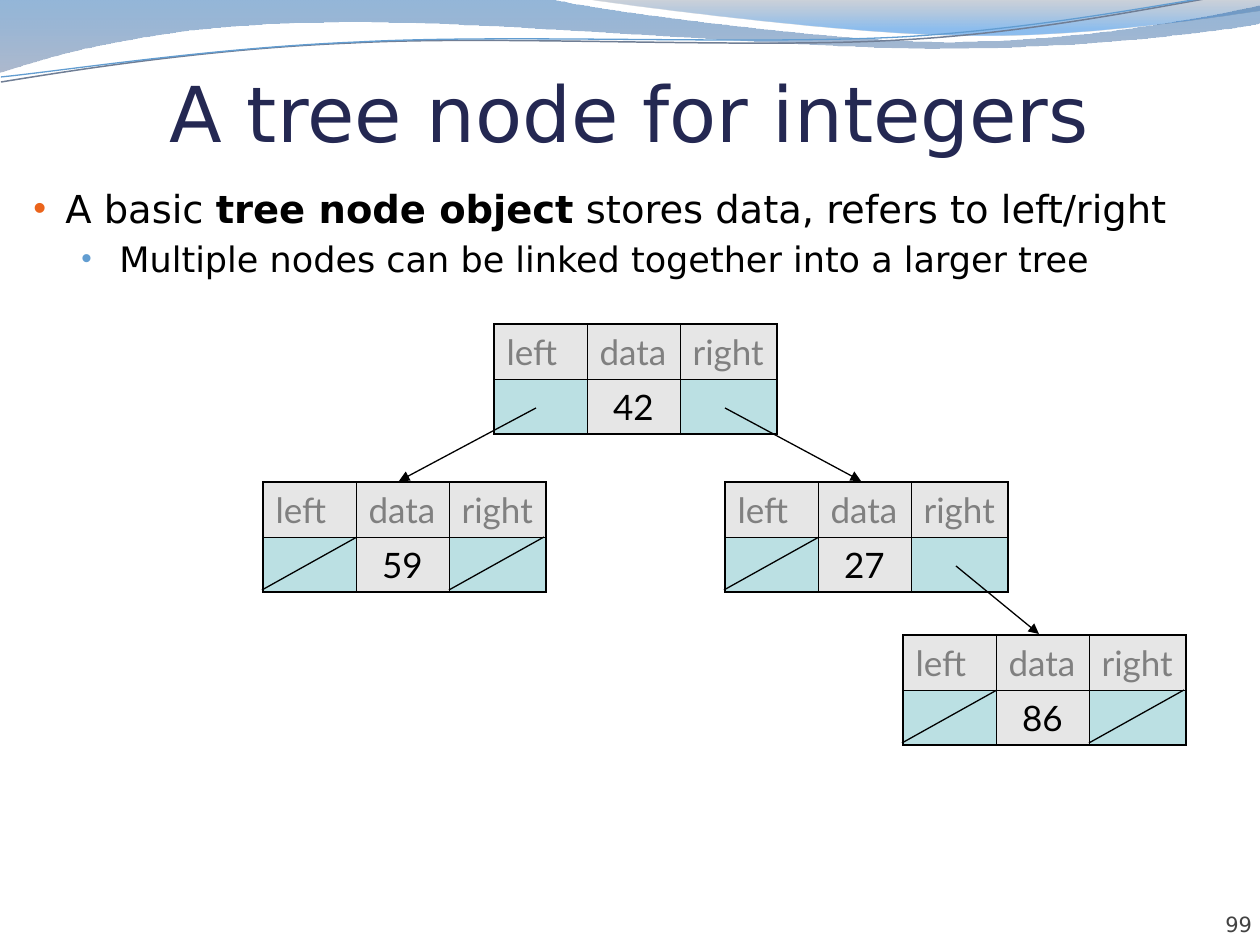
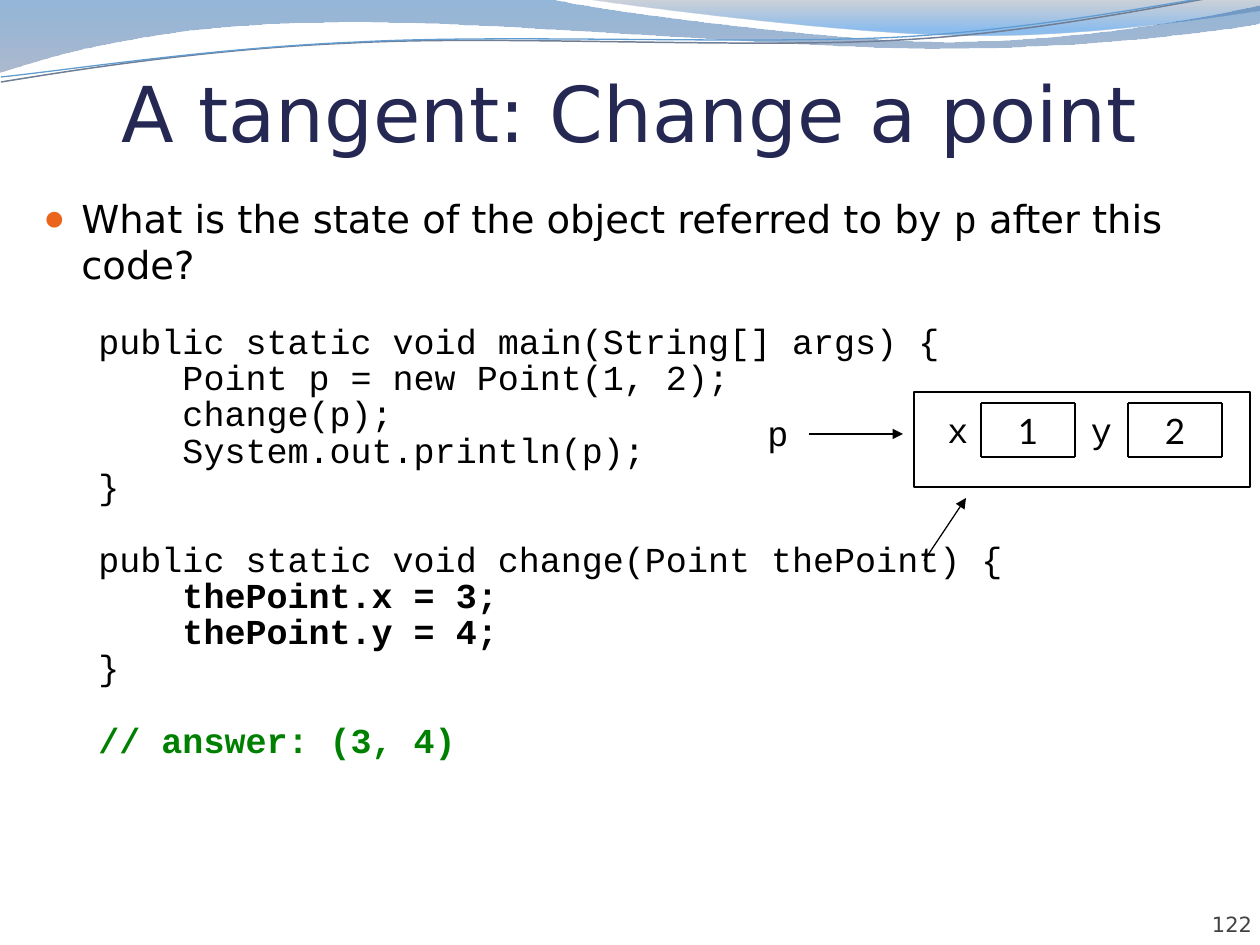
"""Build two lecture slides: linked tree nodes and a changed point."""
import pptx
import pptx.dml.color
import pptx.enum.shapes
import pptx.enum.text
import pptx.oxml
import pptx.oxml.ns
import pptx.util

RGB = pptx.dml.color.RGBColor
ALIGN = pptx.enum.text.PP_ALIGN
ANCHOR = pptx.enum.text.MSO_ANCHOR
SHAPE = pptx.enum.shapes.MSO_SHAPE
Pt = pptx.util.Pt
SCALE = 914400 / 126

NAVY = RGB(0x24, 0x28, 0x52)
BLACK = RGB(0, 0, 0)
GREY = RGB(0x80, 0x80, 0x80)
DARK = RGB(0x42, 0x42, 0x42)
PALE = RGB(0xE6, 0xE6, 0xE6)
AQUA = RGB(0xBB, 0xE0, 0xE3)
GREEN = RGB(0, 0x80, 0)
ORANGE = RGB(0xEB, 0x64, 0x1B)
BLUE = RGB(0x62, 0x9D, 0xD1)
SLATE = RGB(0x70, 0x7E, 0x95)
SANS, MONO, LATO = "DejaVu Sans", "Courier New", "Lato"

BANDS = [
    ([(0, 0), (554, 0), (600, 11, 837, 42, 955, 42), (1075, 42, 1207, 18, 1260, 6),
      (1261, 24), (1239, 29, 1096, 49, 940, 49), (781, 49, 481, 19, 324, 23),
      (163, 24, 58, 54, -1, 73)],
     [(0, "125EAA", 45), (100, "697FA4", 55)]),
    ([(588, 0), (627, 6, 849, 34, 961, 35), (1074, 38, 1211, 18, 1260, 11), (1260, 0)],
     [(0, "596982", 30), (80, "0670DA", 45)]),
]
WAVES = [
    ([(1, 82), (63, 72, 202, 49, 352, 43), (501, 35, 747, 49, 900, 40),
      (1051, 32, 1186, 0, 1260, -10)], SLATE, 0.85),
    ([(1, 77), (62, 71, 209, 48, 359, 42), (509, 34, 752, 45, 902, 37),
      (1053, 28, 1186, -1, 1260, -10)], BLUE, 0.75),
]

TREE = {
    "title": "A tree node for integers", "top": 0, "page": "99",
    "body": (21, 179, 1239, 714),
    "points": [
        (22, 32, -32, ("•", ORANGE, 95),
         [("A basic ", SANS, False), ("tree node object", SANS, True),
          (" stores data, refers to left/right", SANS, False)]),
        (20, 86, -38, ("•", BLUE, 85),
         [("Multiple nodes can be linked together into a larger tree", SANS, False)]),
    ],
}
HEADS = ["left", "data", "right"]
COLS = [93, 93, 97]
ROW = 55
NODES = {
    "42": (494, 324, "59", "27"),
    "59": (263, 482, None, None),
    "27": (725, 482, None, "86"),
    "86": (903, 635, None, None),
}

POINT = {
    "title": "A tangent: Change a point", "top": 60, "page": "122",
    "body": (31, 189, 1229, 714),
    "points": [
        (22, 38, -38, ("●", ORANGE, 95),
         [("What is the state of the object referred to by ", SANS, False),
          ("p", MONO, False), (" after this code?", SANS, False)]),
    ],
}
CODE = [
    ["public static void main(String[] args) {",
     "    Point p = new Point(1, 2);",
     "    change(p);",
     "    System.out.println(p);",
     "}"],
    ["public static void change(Point thePoint) {",
     "    thePoint.x = 3;",
     "    thePoint.y = 4;",
     "}"],
    ["// answer: (3, 4)"],
]
FIELDS = [("x", 935, 46, "1", 981), ("y", 1075, 53, "2", 1128)]


def px(n):
    return round(n * SCALE)


def place(*box):
    return [px(n) for n in box]


def style(run, face, size, color, bold=False):
    font = run.font
    font.name, font.size, font.bold = face, Pt(size), bold
    font.color.rgb = color


def label(frame, text, face, size, color, align=ALIGN.CENTER):
    frame.text = text
    par = frame.paragraphs[0]
    par.alignment = align
    style(par.runs[0], face, size, color)


def inset(frame, top=0):
    frame.margin_left = frame.margin_right = frame.margin_bottom = 0
    frame.margin_top = px(top)
    frame.vertical_anchor = ANCHOR.BOTTOM
    frame.word_wrap = True


def textbox(slide, *box):
    frame = slide.shapes.add_textbox(*place(*box)).text_frame
    frame.word_wrap = True
    return frame


def node_xml(tag, inner="", attrs=""):
    return pptx.oxml.parse_xml(
        f"<a:{tag} {pptx.oxml.ns.nsdecls('a')} {attrs}>{inner}</a:{tag}>")


def outline(slide, path, close):
    """Draw the path straight, then bend the parts that have control points."""
    dots = [part[-2:] for part in path]
    left, top = (min(side) for side in zip(*dots))
    pen = slide.shapes.build_freeform(*dots[0], scale=SCALE)
    pen.add_line_segments(dots[1:], close=close)
    shape = pen.convert_to_shape()
    shape.shadow.inherit = False
    shape.fill.background()
    legs = list(shape._element.iter(pptx.oxml.ns.qn("a:lnTo")))
    for leg, part in zip(legs, path[1:]):
        if len(part) == 6:
            inner = "".join(f'<a:pt x="{x - left}" y="{y - top}"/>'
                            for x, y in zip(part[::2], part[1::2]))
            leg.getparent().replace(leg, node_xml("cubicBezTo", inner))
    return shape


def header(slide):
    for path, stops in BANDS:
        shape = outline(slide, path, True)
        shape.line.fill.background()
        inner = "".join(
            f'<a:gs pos="{pos}000"><a:srgbClr val="{color}">'
            f'<a:alpha val="{alpha}000"/></a:srgbClr></a:gs>'
            for pos, color, alpha in stops)
        grad = node_xml("gradFill", f'<a:gsLst>{inner}</a:gsLst><a:lin ang="5400000"/>')
        props = shape._element.spPr
        props.replace(props.find(pptx.oxml.ns.qn("a:noFill")), grad)
    for path, color, width in WAVES:
        line = outline(slide, path, False).line
        line.color.rgb, line.width = color, Pt(width)


def bullet(par, left, hang, mark=None):
    props = par._p.get_or_add_pPr()
    props.set("marL", str(px(left)))
    props.set("indent", str(px(hang)))
    if mark:
        sign, color, size = mark
        props.append(node_xml("buClr", f'<a:srgbClr val="{color}"/>'))
        props.append(node_xml("buSzPct", attrs=f'val="{size}000"'))
        props.append(node_xml("buFont", attrs='typeface="Arial"'))
        props.append(node_xml("buChar", attrs=f'char="{sign}"'))


def start(deck, page):
    """Add a slide with its header, title, number and bullets."""
    slide = deck.slides.add_slide(deck.slide_layouts[5])
    header(slide)
    title = slide.shapes.title
    slide.shapes._spTree.append(title._element)
    top = page["top"]
    title.left, title.top, title.width, title.height = place(63, top, 1134, 158 - top)
    inset(title.text_frame, 6)
    title.text_frame.auto_size = pptx.enum.text.MSO_AUTO_SIZE.NONE
    label(title.text_frame, page["title"], SANS, 44, NAVY)
    number = textbox(slide, 1148, 887, 104, 50)
    inset(number)
    label(number, page["page"], SANS, 12, DARK, ALIGN.RIGHT)
    frame = textbox(slide, *page["body"])
    for i, (size, left, hang, mark, runs) in enumerate(page["points"]):
        par = frame.add_paragraph() if i else frame.paragraphs[0]
        bullet(par, left, hang, mark)
        if i:
            par.space_before = Pt(3.4)
        for text, face, bold in runs:
            run = par.add_run()
            run.text = text
            style(run, face, size, BLACK, bold)
    return slide, frame


def link(slide, x1, y1, x2, y2, arrow=False, width=0.75):
    wire = slide.shapes.add_connector(
        pptx.enum.shapes.MSO_CONNECTOR.STRAIGHT, *place(x1, y1, x2, y2))
    wire.line.color.rgb, wire.line.width = BLACK, Pt(width)
    if arrow:
        wire.line._get_or_add_ln().append(node_xml("tailEnd", attrs='type="triangle"'))
    wire._element.spPr.append(node_xml("effectLst"))


def border(cell, row, col):
    edges = {"L": col == 0, "R": col == 2, "T": row == 0, "B": row == 1}
    for side, outer in edges.items():
        width = Pt(1.08 if outer else 0.45)
        fill = f'<a:solidFill><a:srgbClr val="{BLACK}"/></a:solidFill>'
        cell._tc.get_or_add_tcPr().append(node_xml("ln" + side, fill, f'w="{width}"'))


def draw_node(slide, value, x, y):
    table = slide.shapes.add_table(2, 3, *place(x, y, sum(COLS), 2 * ROW)).table
    table.first_row = table.horz_banding = False
    for col, width in enumerate(COLS):
        table.columns[col].width = px(width)
    for row, texts in enumerate([HEADS, ["", value, ""]]):
        table.rows[row].height = px(ROW)
        for col, text in enumerate(texts):
            cell = table.cell(row, col)
            border(cell, row, col)
            cell.fill.solid()
            cell.fill.fore_color.rgb = PALE if text else AQUA
            if text:
                color, align = (BLACK, ALIGN.CENTER) if row else (GREY, ALIGN.LEFT)
                label(cell.text_frame, text, LATO, 20, color, align)
                cell.text_frame.paragraphs[0].line_spacing = 1.01


def tree_slide(deck):
    slide, _ = start(deck, TREE)
    for value, (x, y, *_) in NODES.items():
        draw_node(slide, value, x, y)
    for x, y, *kids in NODES.values():
        for kid, edge, mid in zip(kids, (0, 187), (42, 231)):
            if kid:
                kx, ky = NODES[kid][:2]
                link(slide, x + mid, y + 84, kx + 136, ky - 1, True)
            else:
                link(slide, x + edge + 94, y + 55, x + edge - 1, y + 108)


def cell_box(slide, left, top, width, height):
    right, low = left + width, top + height
    corners = [(left, top), (right, top), (right, low), (left, low)]
    for a, b in ((0, 1), (0, 3), (1, 2), (3, 2)):
        link(slide, *corners[a], *corners[b], width=1)


def point_slide(deck):
    slide, frame = start(deck, POINT)
    for lines in CODE:
        for i, text in enumerate(lines):
            par = frame.add_paragraph()
            bullet(par, 55, 0)
            par.line_spacing = 0.7
            par.space_before = Pt(3.8 if i else 25)
            par.text = text
            answer = text.startswith("//")
            style(par.runs[0], MONO, 20, GREEN if answer else BLACK,
                  answer or "thePoint." in text)
    whole = slide.shapes.add_shape(SHAPE.RECTANGLE, *place(914, 392, 336, 95))
    whole.shadow.inherit = False
    whole.fill.background()
    whole.line.color.rgb, whole.line.width = BLACK, Pt(0.75)
    for name, left, width, value, edge in FIELDS:
        label(textbox(slide, left, 402, width, 54), name, MONO, 20, BLACK)
        label(textbox(slide, edge, 403, 94, 54), value, LATO, 20, BLACK)
        cell_box(slide, edge, 403, 94, 54)
    label(textbox(slide, 755, 405, 46, 54), "p", MONO, 20, BLACK, ALIGN.LEFT)
    link(slide, 809, 434, 903, 434, True)
    link(slide, 924, 561, 966, 498, True)


def main():
    deck = pptx.Presentation()
    deck.slide_width, deck.slide_height = place(1260, 945)
    tree_slide(deck)
    point_slide(deck)
    deck.save("out.pptx")


if __name__ == "__main__":
    main()
